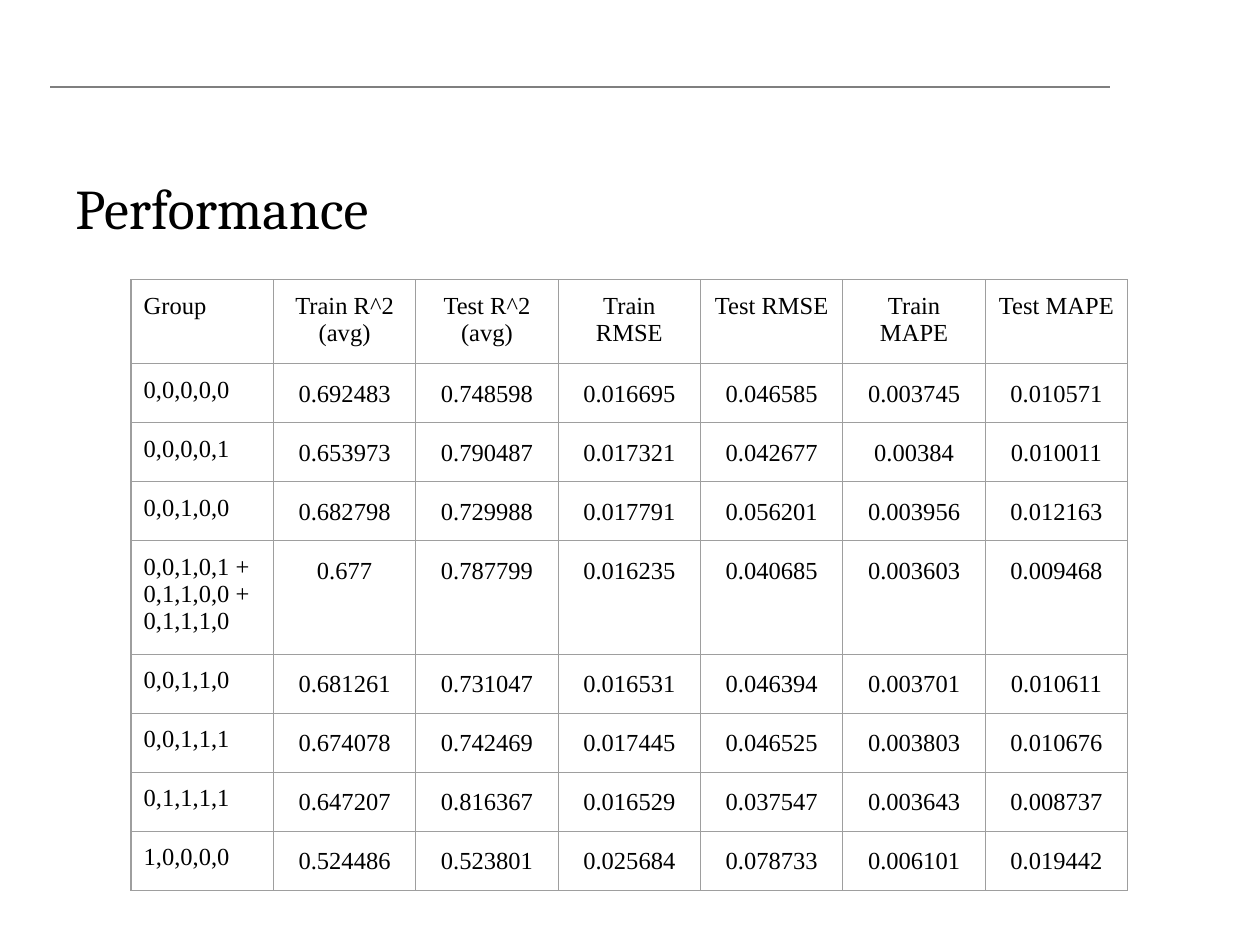
from lxml.etree import SubElement
from pptx import Presentation
from pptx.dml.color import RGBColor
from pptx.enum.shapes import MSO_CONNECTOR
from pptx.enum.text import MSO_ANCHOR, PP_ALIGN
from pptx.oxml.ns import qn
from pptx.util import Inches, Pt

BLACK = RGBColor(0x00, 0x00, 0x00)
RULE_GRAY = RGBColor(0x7F, 0x7F, 0x7F)
BORDER_GRAY = RGBColor(0x9E, 0x9E, 0x9E)

HEADER = ["Group", "Train R^2 (avg)", "Test R^2 (avg)", "Train RMSE",
          "Test RMSE", "Train MAPE", "Test MAPE"]
RESULTS = [
    ["0,0,0,0,0", "0.692483", "0.748598", "0.016695", "0.046585", "0.003745", "0.010571"],
    ["0,0,0,0,1", "0.653973", "0.790487", "0.017321", "0.042677", "0.00384", "0.010011"],
    ["0,0,1,0,0", "0.682798", "0.729988", "0.017791", "0.056201", "0.003956", "0.012163"],
    ["0,0,1,0,1 + 0,1,1,0,0 + 0,1,1,1,0",
     "0.677", "0.787799", "0.016235", "0.040685", "0.003603", "0.009468"],
    ["0,0,1,1,0", "0.681261", "0.731047", "0.016531", "0.046394", "0.003701", "0.010611"],
    ["0,0,1,1,1", "0.674078", "0.742469", "0.017445", "0.046525", "0.003803", "0.010676"],
    ["0,1,1,1,1", "0.647207", "0.816367", "0.016529", "0.037547", "0.003643", "0.008737"],
    ["1,0,0,0,0", "0.524486", "0.523801", "0.025684", "0.078733", "0.006101", "0.019442"],
]


class SlideBuilder:
    """Places elements on a grid of 100 columns by 75 rows."""

    title_font = {"name": "Cambria", "size": Pt(32)}
    table_font = {"name": "Times New Roman", "size": Pt(14)}
    line_width = Pt(0.75)
    cell_margin = Inches(0.1)

    def __init__(self, presentation):
        self.slide = presentation.slides.add_slide(presentation.slide_layouts[6])
        self.column = presentation.slide_width / 100
        self.row = presentation.slide_height / 75

    def across(self, columns):
        return round(columns * self.column)

    def down(self, rows):
        return round(rows * self.row)

    def set_text(self, text_frame, text, font, **paragraph_format):
        paragraph = text_frame.paragraphs[0]
        for name, value in paragraph_format.items():
            setattr(paragraph, name, value)
        run = paragraph.add_run()
        run.text = text
        for name, value in font.items():
            setattr(run.font, name, value)
        run.font.color.rgb = BLACK

    def rule(self, left, right, top):
        connector = self.slide.shapes.add_connector(
            MSO_CONNECTOR.STRAIGHT, self.across(left), self.down(top),
            self.across(right), self.down(top))
        connector.line.color.rgb = RULE_GRAY
        connector.line.width = self.line_width
        SubElement(connector.element.spPr, qn("a:effectLst"))

    def title(self, text, left, top, width, height):
        box = self.slide.shapes.add_textbox(
            self.across(left), self.down(top), self.across(width), self.down(height))
        box.text_frame.word_wrap = True
        box.text_frame.vertical_anchor = MSO_ANCHOR.MIDDLE
        self.set_text(box.text_frame, text, self.title_font)

    def table(self, records, left, top, column_width, row_height):
        rows, columns = len(records), len(records[0])
        table = self.slide.shapes.add_table(
            rows, columns, self.across(left), self.down(top),
            self.across(column_width * columns), self.down(row_height * rows)).table
        for banding in ("first_row", "horz_banding"):
            setattr(table, banding, False)
        for row_index, record in enumerate(records):
            for column_index, text in enumerate(record):
                paragraph_format = {}
                if column_index:
                    paragraph_format["alignment"] = PP_ALIGN.CENTER
                    if row_index:
                        paragraph_format["line_spacing"] = 1.15
                self.fill_cell(table.cell(row_index, column_index), text, paragraph_format)

    def fill_cell(self, cell, text, paragraph_format):
        for side in ("left", "top", "right", "bottom"):
            setattr(cell, f"margin_{side}", self.cell_margin)
        self.set_text(cell.text_frame, text, self.table_font, **paragraph_format)
        self.border(cell)
        cell.fill.background()

    def border(self, cell):
        properties = cell._tc.get_or_add_tcPr()
        for side in ("lnL", "lnR", "lnT", "lnB"):
            line = SubElement(properties, qn(f"a:{side}"), w=str(self.line_width))
            fill = SubElement(line, qn("a:solidFill"))
            SubElement(fill, qn("a:srgbClr"), val=str(BORDER_GRAY))


def main():
    presentation = Presentation()
    presentation.slide_width = Inches(10)
    presentation.slide_height = Inches(7.5)
    builder = SlideBuilder(presentation)
    builder.rule(left=4, right=88.1, top=6.9)
    builder.title("Performance", left=5, top=12.8, width=90, height=7.2)
    builder.table([HEADER] + RESULTS, left=10.4, top=22.2,
                  column_width=11.3, row_height=4.2)
    presentation.save("out.pptx")


if __name__ == "__main__":
    main()
